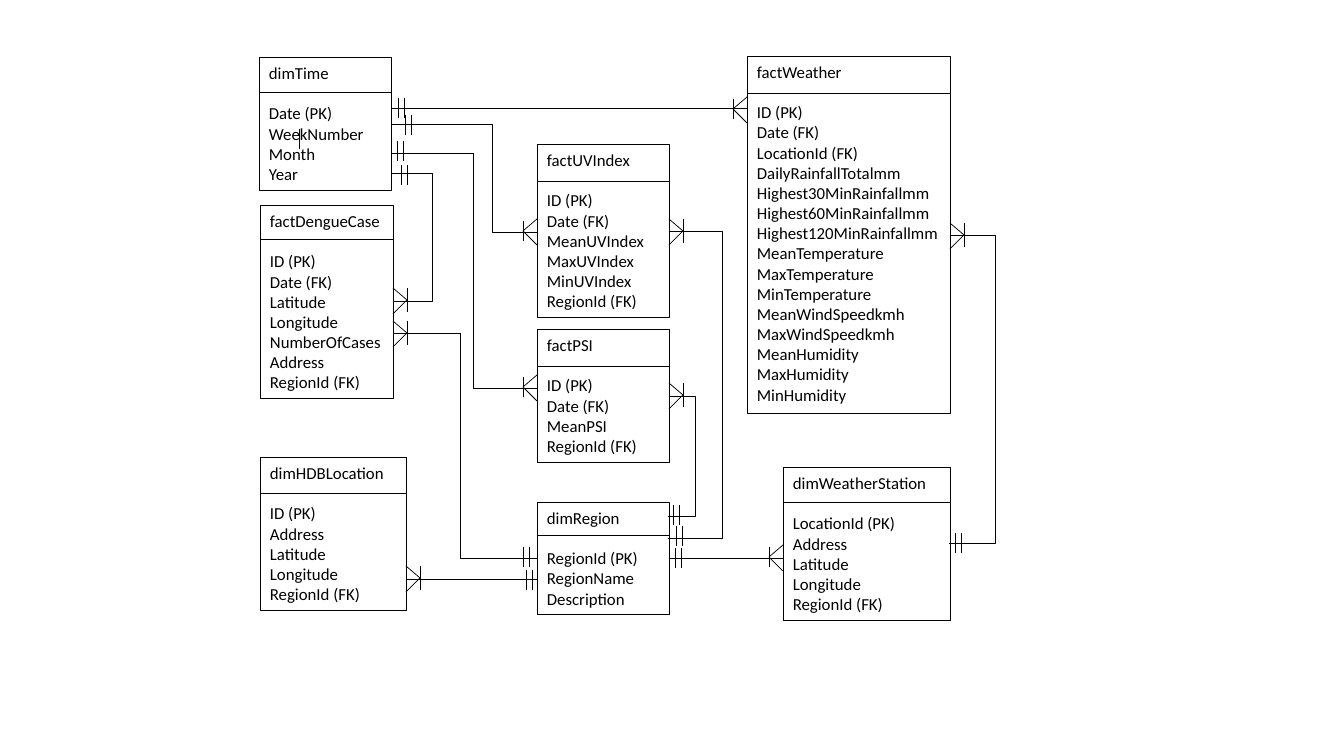
from pptx import Presentation
from pptx.dml.color import RGBColor
from pptx.enum.shapes import MSO_CONNECTOR, MSO_SHAPE
from pptx.enum.text import MSO_ANCHOR, PP_ALIGN
from pptx.oxml import parse_xml
from pptx.oxml.ns import nsdecls, qn
from pptx.util import Inches, Pt

STRAIGHT, ELBOW = MSO_CONNECTOR.STRAIGHT, MSO_CONNECTOR.ELBOW
RECT, TOP, LEFT = MSO_SHAPE.RECTANGLE, MSO_ANCHOR.TOP, PP_ALIGN.LEFT
PX = Inches(1) / 100.8
BLACK = "000000"
FONT = "Calibri"

# name, box (left, top, width, height), header height, fields
ENTITIES = [
    ("dimTime", (259, 57, 132, 133), 35,
     ["Date (PK)", "WeekNumber", "Month", "Year"]),
    ("factDengueCase", (260, 205, 133, 193), 34,
     ["ID (PK)", "Date (FK)", "Latitude", "Longitude", "NumberOfCases",
      "Address", "RegionId (FK)"]),
    ("dimHDBLocation", (260, 457, 146, 153), 36,
     ["ID (PK)", "Address", "Latitude", "Longitude", "RegionId (FK)"]),
    ("factUVIndex", (537, 144, 132, 173), 37,
     ["ID (PK)", "Date (FK)", "MeanUVIndex", "MaxUVIndex", "MinUVIndex",
      "RegionId (FK)"]),
    ("factPSI", (537, 329, 132, 133), 37,
     ["ID (PK)", "Date (FK)", "MeanPSI", "RegionId (FK)"]),
    ("dimRegion", (537, 502, 132, 112), 33,
     ["RegionId (PK)", "RegionName", "Description"]),
    ("factWeather", (747, 56, 203, 357), 37,
     ["ID (PK)", "Date (FK)", "LocationId (FK)", "DailyRainfallTotalmm",
      "Highest30MinRainfallmm", "Highest60MinRainfallmm",
      "Highest120MinRainfallmm", "MeanTemperature", "MaxTemperature",
      "MinTemperature", "MeanWindSpeedkmh", "MaxWindSpeedkmh",
      "MeanHumidity", "MaxHumidity", "MinHumidity"]),
    ("dimWeatherStation", (783, 467, 167, 153), 35,
     ["LocationId (PK)", "Address", "Latitude", "Longitude", "RegionId (FK)"]),
]

# x1, y1, x2, y2
STRAIGHT_LINKS = [(747, 108, 392, 108), (669, 558, 784, 558),
                  (407, 579, 537, 579), (299, 129, 299, 149),
                  (473, 153, 392, 153), (460, 333, 393, 333)]

# x1, y1, x2, y2: across, then up
CORNER_LINKS = [(537, 388, 473, 153), (537, 558, 460, 333)]

# x1, y1, x2, y2, x of the vertical run
ELBOW_LINKS = [
    (392, 124, 537, 232, 492), (393, 301, 392, 173, 433),
    (669, 231, 669, 538, 723), (669, 396, 669, 516, 696),
    (950, 235, 950, 543, 996),
]

# table edge x, y, direction away from the table
MANY_ENDS = [(393, 300, 1), (393, 333, 1), (406, 578, 1), (669, 231, 1),
             (669, 395, 1), (950, 235, 1), (747, 109, -1), (537, 231, -1),
             (537, 387, -1), (783, 557, -1)]

# x of the first bar, y
ONE_ENDS = [(398, 108), (405, 125), (397, 151), (401, 175), (523, 557),
            (526, 580), (673, 515), (676, 536), (675, 558), (955, 543)]


def px(n):
    return round(n * PX)


def color(value):
    return RGBColor.from_string(value)


def style_line(line):
    line.color.rgb = color(BLACK)
    line.width = Pt(0.5)


def connect(s, x1, y1, x2, y2, kind=STRAIGHT):
    c = s.shapes.add_connector(kind, px(x1), px(y1), px(x2), px(y2))
    style_line(c.line)
    c._element.spPr.append(parse_xml(f"<a:effectLst {nsdecls('a')}/>"))
    return c


def corner(s, x1, y1, x2, y2):
    c = connect(s, x1, y1, x2, y2, ELBOW)
    c._element.spPr.find(qn("a:prstGeom")).set("prst", "bentConnector2")


def elbow(s, x1, y1, x2, y2, bend):
    if x1 == x2:  # the bend is a share of the width, so it cannot be zero
        x2 -= 1
    c = connect(s, x1, y1, x2, y2, ELBOW)
    share = round((bend - x1) / (x2 - x1) * 100000)
    geom = c._element.spPr.find(qn("a:prstGeom"))
    geom.find(qn("a:avLst")).append(parse_xml(
        f'<a:gd {nsdecls("a")} name="adj1" fmla="val {share}"/>'))


def entity(s, name, box, header, fields):
    x, y, w, h = box
    sp = s.shapes.add_shape(RECT, *(px(n) for n in box))
    sp.shadow.inherit = False
    sp.fill.background()
    style_line(sp.line)
    tf = sp.text_frame
    tf.word_wrap = True
    tf.margin_right = 0
    tf.margin_top = Pt(4)
    tf.vertical_anchor = TOP
    tf.text = "\n".join([name] + fields)
    for p in tf.paragraphs:
        p.alignment = LEFT
        for r in p.runs:
            r.font.name = FONT
            r.font.size = Pt(12)
            r.font.color.rgb = color(BLACK)
    tf.paragraphs[1].space_before = Pt(14.5)
    connect(s, x + w, y + header, x, y + header)


def many_end(s, x, y, side):
    tip = x + 14 * side
    half = 12 if side > 0 else 10
    connect(s, tip, y, x, y - 12)
    connect(s, tip, y, x, y + 14)
    connect(s, tip, y - half, tip, y + half)


def one_end(s, x, y):
    for bar in (x, x + 6):
        connect(s, bar, y - 10, bar, y + 10)


def schema_slide(prs):
    s = prs.slides.add_slide(prs.slide_layouts[6])
    # Tables
    for row in ENTITIES:
        entity(s, *row)
    # Relationships
    for link in STRAIGHT_LINKS:
        connect(s, *link)
    for link in CORNER_LINKS:
        corner(s, *link)
    for link in ELBOW_LINKS:
        elbow(s, *link)
    # Cardinality marks
    for end in MANY_ENDS:
        many_end(s, *end)
    for end in ONE_ENDS:
        one_end(s, *end)


prs = Presentation()
prs.slide_width, prs.slide_height = px(1344), px(756)
schema_slide(prs)
prs.save("out.pptx")
